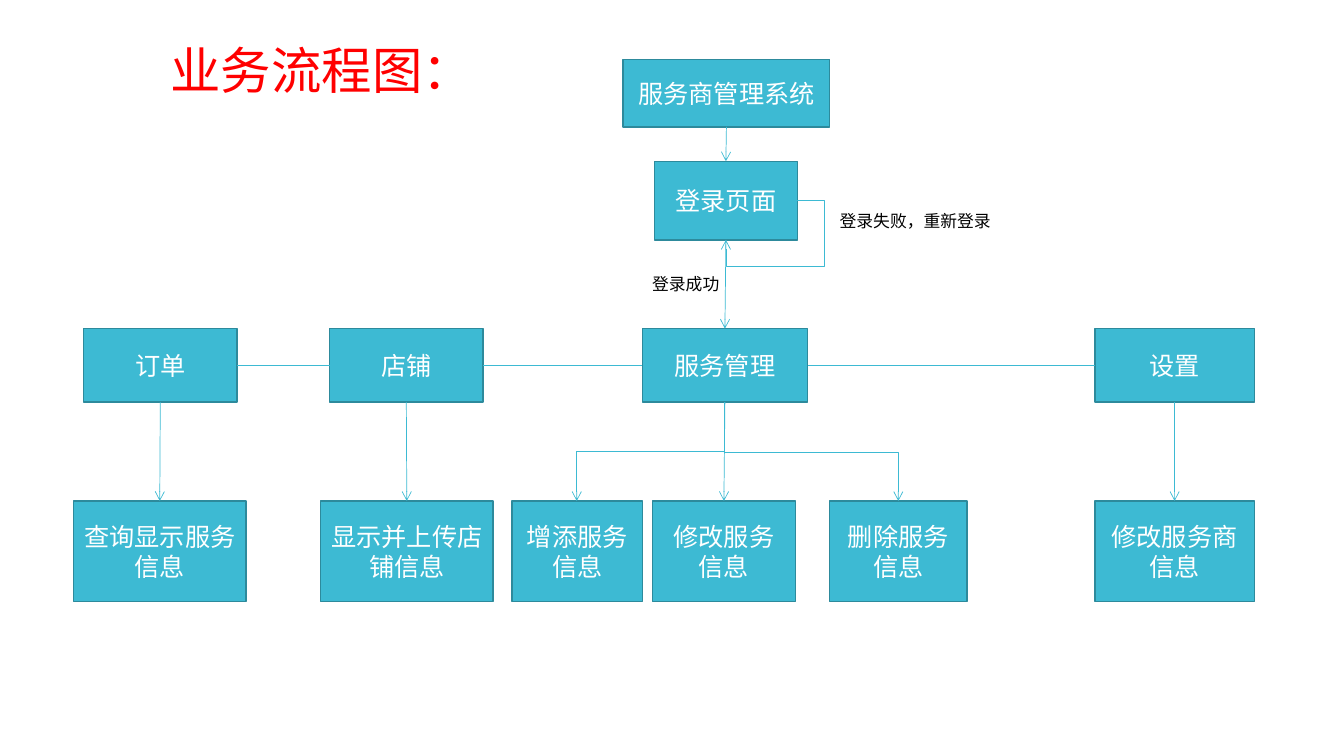
from dataclasses import dataclass

from lxml.etree import SubElement
from pptx import Presentation
from pptx.dml.color import RGBColor
from pptx.enum.shapes import MSO_CONNECTOR as Link, MSO_SHAPE as Shape
from pptx.enum.text import MSO_ANCHOR as Anchor, MSO_AUTO_SIZE as AutoSize, PP_ALIGN as Align
from pptx.oxml.ns import qn
from pptx.util import Inches, Pt

TOP, LEFT, BOTTOM, RIGHT = range(4)


@dataclass(frozen=True)
class Theme:
    font: str = "Noto Sans CJK JP"
    fill: RGBColor = RGBColor(0x3D, 0xBA, 0xD3)
    border: RGBColor = RGBColor(0x2D, 0x8A, 0x9C)
    box_text: RGBColor = RGBColor(0xFF, 0xFF, 0xFF)
    label_text: RGBColor = RGBColor(0, 0, 0)
    title_text: RGBColor = RGBColor(0xFF, 0, 0)
    title_size: int = 36
    box_size: int = 18
    label_size: int = 12
    border_width: float = 1
    link_width: float = 0.5


THEME = Theme()


def write(shape, text, size, color, align, anchor):
    frame = shape.text_frame
    frame.text = text
    frame.vertical_anchor = anchor
    para = frame.paragraphs[0]
    para.alignment = align
    para.font.size = Pt(size)
    para.font.color.rgb = color
    para.font.name = THEME.font
    properties = para._p.pPr.find(qn("a:defRPr"))
    SubElement(properties, qn("a:ea"), typeface=THEME.font)


def add_title(page, text, left, top, width, height):
    title = page.shapes.title
    title.left, title.top = Inches(left), Inches(top)
    title.width, title.height = Inches(width), Inches(height)
    write(title, text, THEME.title_size, THEME.title_text, Align.LEFT, Anchor.TOP)
    title.text_frame.word_wrap = False
    title.text_frame.auto_size = AutoSize.SHAPE_TO_FIT_TEXT


def add_label(page, text, left, top, width, height=0.3):
    label = page.shapes.add_textbox(Inches(left), Inches(top), Inches(width), Inches(height))
    write(label, text, THEME.label_size, THEME.label_text, Align.LEFT, Anchor.TOP)
    label.text_frame.word_wrap = True
    label.text_frame.auto_size = AutoSize.SHAPE_TO_FIT_TEXT


def add_box(page, text, left, top, width, height, kind=Shape.RECTANGLE):
    box = page.shapes.add_shape(kind, Inches(left), Inches(top), Inches(width), Inches(height))
    box.shadow.inherit = False
    box.fill.solid()
    box.fill.fore_color.rgb = THEME.fill
    box.line.color.rgb = THEME.border
    box.line.width = Pt(THEME.border_width)
    write(box, text, THEME.box_size, THEME.box_text, Align.CENTER, Anchor.MIDDLE)
    box.text_frame.word_wrap = True
    return box


def style_link(link, arrow):
    link.line.color.rgb = THEME.fill
    link.line.width = Pt(THEME.link_width)
    if arrow:
        SubElement(link.line._get_or_add_ln(), qn("a:tailEnd"), type="arrow")
    SubElement(link._element.spPr, qn("a:effectLst"))


def join(page, start, start_side, end, end_side, arrow=True):
    link = page.shapes.add_connector(Link.STRAIGHT, 0, 0, 0, 0)
    link.begin_connect(start, start_side)
    link.end_connect(end, end_side)
    style_link(link, arrow)


def add_elbow(page, start, end, preset, adjustments=(), turned=False):
    """Bent arrow; a turned one leaves downwards and ends to the lower left."""
    (x1, y1), (x2, y2) = start, end
    if turned:
        middle_x, middle_y = (x1 + x2) / 2, (y1 + y2) / 2
        half_width, half_height = (y2 - y1) / 2, (x1 - x2) / 2
        x1, x2 = middle_x - half_width, middle_x + half_width
        y1, y2 = middle_y - half_height, middle_y + half_height
    link = page.shapes.add_connector(Link.ELBOW, Inches(x1), Inches(y1), Inches(x2), Inches(y2))
    properties = link._element.spPr
    if turned:
        properties.find(qn("a:xfrm")).set("rot", str(90 * 60000))
    geometry = properties.find(qn("a:prstGeom"))
    geometry.set("prst", preset)
    guides = geometry.find(qn("a:avLst"))
    for number, share in enumerate(adjustments, 1):
        SubElement(guides, qn("a:gd"), name=f"adj{number}", fmla=f"val {round(share * 100000)}")
    style_link(link, arrow=True)


def add_login(page, left, top):
    """System and login boxes with the retry loop; returns the login box."""
    system = add_box(page, "服务商管理系统", left, top, 2.05, 0.67, Shape.FLOWCHART_PROCESS)
    login = add_box(page, "登录页面", left + 0.31, top + 1.01, 1.42, 0.78)
    join(page, system, BOTTOM, login, TOP)
    add_elbow(page, (left + 1.73, top + 1.4), (left + 1.02, top + 1.79),
              "bentConnector4", (-0.37, 1.67))
    add_label(page, "登录失败，重新登录", left + 2.05, top + 1.45, 2.34)
    add_label(page, "登录成功", left + 0.19, top + 2.08, 1.05)
    return login


def add_modules(page, top):
    """Row of modules, each above its action; returns the service module."""
    height, action_top, action_height = 0.73, top + 1.71, 1
    columns = [
        ("订单", 0.83, 1.52, "查询显示服务信息", 0.73, 1.71),
        ("店铺", 3.27, 1.52, "显示并上传店铺信息", 3.18, 1.71),
        ("服务管理", 6.37, 1.64, "修改服务信息", 6.47, 1.42),
        ("设置", 10.86, 1.58, "修改服务商信息", 10.86, 1.58),
    ]
    modules = []
    for name, left, width, action, action_left, action_width in columns:
        module = add_box(page, name, left, top, width, height)
        target = add_box(page, action, action_left, action_top, action_width, action_height)
        join(page, module, BOTTOM, target, TOP)
        modules.append(module)
    for module, neighbour in zip(modules, modules[1:]):
        join(page, module, RIGHT, neighbour, LEFT, arrow=False)

    add_box(page, "增添服务信息", 5.08, action_top, 1.29, action_height)
    add_box(page, "删除服务信息", 8.23, action_top, 1.36, action_height)
    trunk = 7.18
    add_elbow(page, (trunk, top + height), (5.72, action_top), "bentConnector3", (0.5,), turned=True)
    add_elbow(page, (trunk, top + 1.23), (8.91, action_top), "bentConnector2")
    return modules[2]


def main():
    deck = Presentation()
    deck.slide_width, deck.slide_height = Inches(13.33), Inches(7.5)
    page = deck.slides.add_slide(deck.slide_layouts.get_by_name("Title Only"))
    add_title(page, "业务流程图：", 1.59, 0.34, 3.2, 0.71)
    login = add_login(page, 6.18, 0.59)
    service = add_modules(page, 3.26)
    join(page, login, BOTTOM, service, TOP)
    deck.save("out.pptx")


if __name__ == "__main__":
    main()
